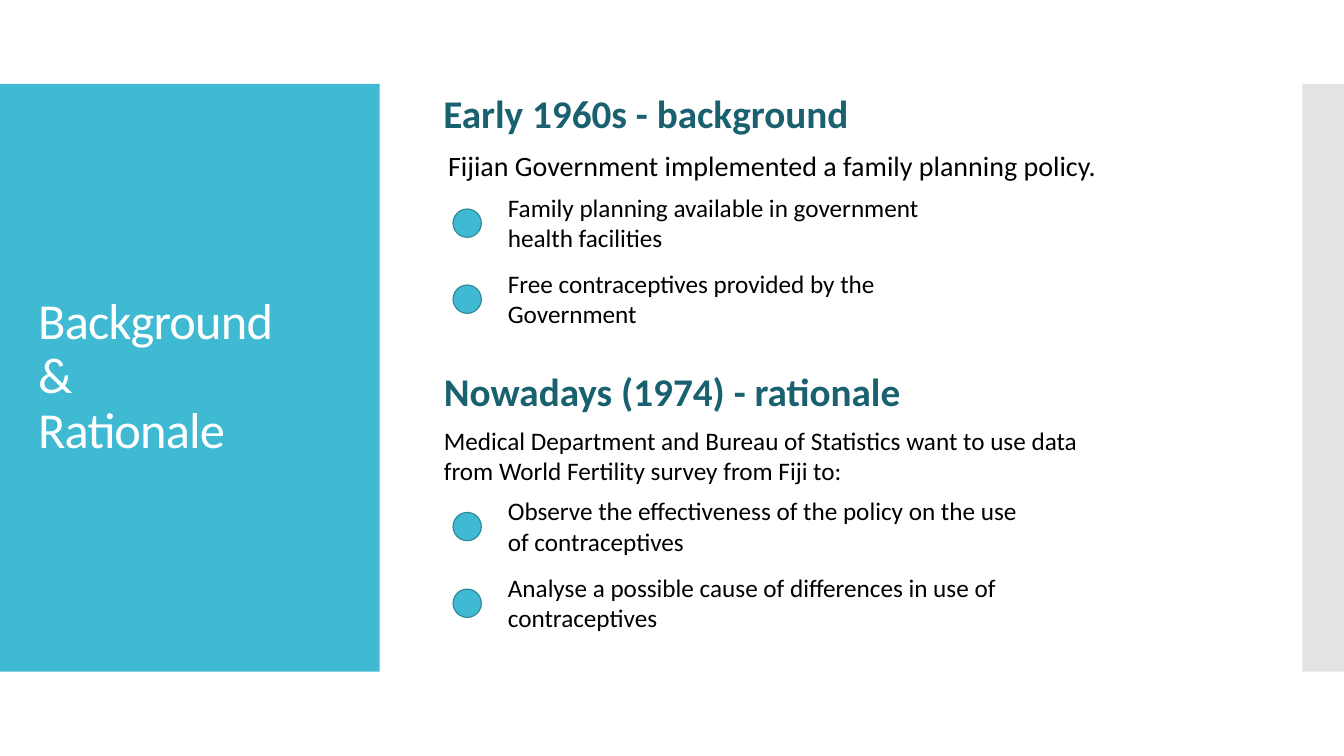
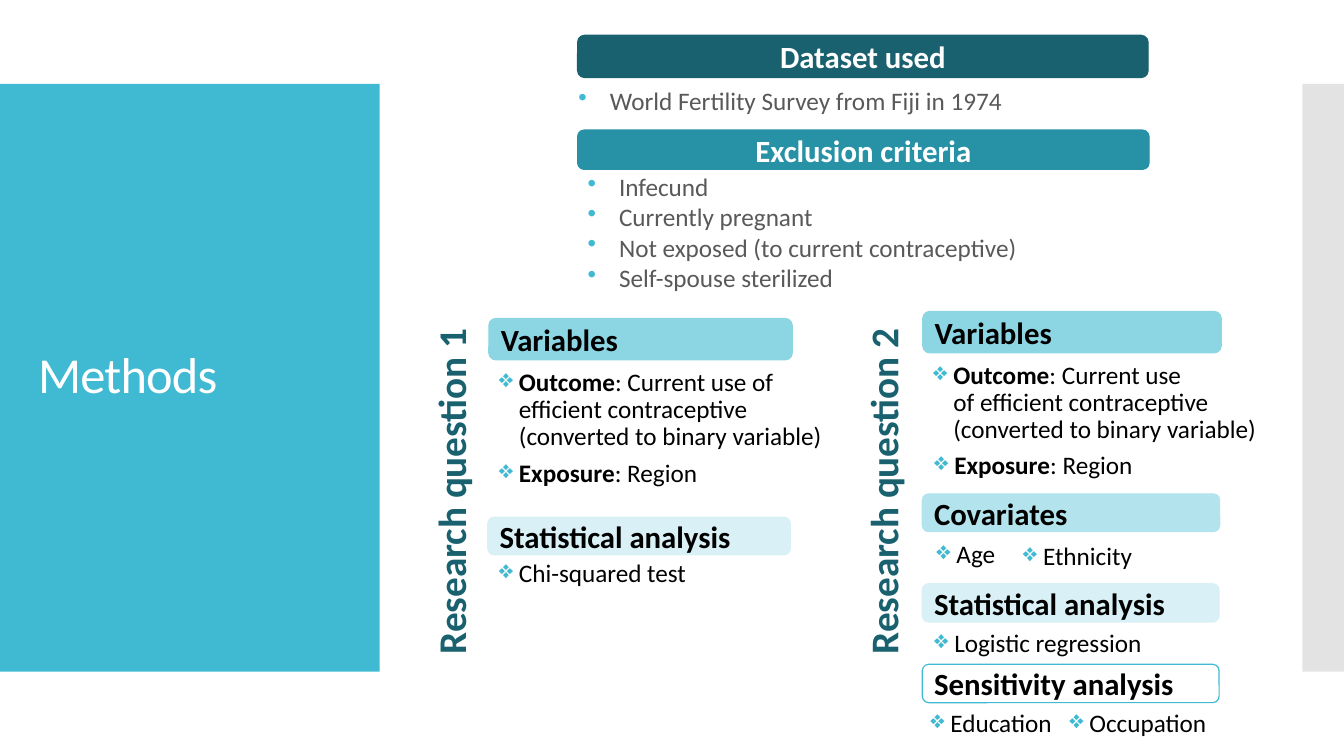
from dataclasses import dataclass

from lxml import etree
from pptx import Presentation
from pptx.dml.color import RGBColor
from pptx.enum.shapes import MSO_SHAPE
from pptx.enum.text import MSO_ANCHOR, MSO_AUTO_SIZE, PP_ALIGN
from pptx.oxml.ns import qn
from pptx.util import Pt

RECT, ROUND, OVAL = MSO_SHAPE.RECTANGLE, MSO_SHAPE.ROUNDED_RECTANGLE, MSO_SHAPE.OVAL
LEFT, CENTER = PP_ALIGN.LEFT, PP_ALIGN.CENTER
TOP, MIDDLE = MSO_ANCHOR.TOP, MSO_ANCHOR.MIDDLE
GROW = MSO_AUTO_SIZE.SHAPE_TO_FIT_TEXT

FONT = "Calibri"
WHITE = RGBColor(0xFF, 0xFF, 0xFF)
BLACK = RGBColor(0x00, 0x00, 0x00)
GREY = RGBColor(0x59, 0x59, 0x59)
EDGE_GREY = RGBColor(0xC8, 0xC8, 0xC8)
AQUA = RGBColor(0x40, 0xBA, 0xD2)
AQUA_EDGE = RGBColor(0x2F, 0x8A, 0x9B)
DEEP_TEAL = RGBColor(0x1A, 0x61, 0x6F)
TEAL = RGBColor(0x27, 0x91, 0xA6)
AQUA_MID = RGBColor(0x8C, 0xD6, 0xE4)
AQUA_LIGHT = RGBColor(0xB3, 0xE3, 0xED)
AQUA_PALE = RGBColor(0xD9, 0xF1, 0xF6)


@dataclass(frozen=True)
class Box:
    x: float
    y: float
    w: float
    h: float

    def emu(self) -> tuple:
        return Pt(self.x), Pt(self.y), Pt(self.w), Pt(self.h)


@dataclass(frozen=True)
class Label:
    text: str
    box: Box
    size: float = 18
    color: RGBColor = BLACK
    bold: bool = False
    align: PP_ALIGN = LEFT
    rotation: int = 0


@dataclass(frozen=True)
class Bar:
    text: str
    box: Box
    fill: RGBColor
    line: RGBColor
    color: RGBColor = BLACK
    align: PP_ALIGN = LEFT


@dataclass(frozen=True)
class BulletStyle:
    char: str
    indent: float
    color: RGBColor
    line_spacing: float
    before: float


DIAMOND = BulletStyle("\u2756", 14.4, BLACK, 0.9, 12)
DOT = BulletStyle("\u2022", 22.5, GREY, 1.0, 0)


@dataclass(frozen=True)
class Bullets:
    text: str
    box: Box
    lead: str = ""
    style: BulletStyle = DIAMOND


# Basic drawing
def format_runs(p, size: float, color: RGBColor, bold: bool = False) -> None:
    for r in p.runs:
        r.font.name = FONT
        r.font.size = Pt(size)
        r.font.bold = bold
        r.font.color.rgb = color


def add_shape(s, kind, box: Box, fill: RGBColor, line: RGBColor | None = None):
    sp = s.shapes.add_shape(kind, *box.emu())
    sp.shadow.inherit = False
    sp.fill.solid()
    sp.fill.fore_color.rgb = fill
    if line is None:
        sp.line.fill.background()
    else:
        sp.line.color.rgb = line
        sp.line.width = Pt(0.85)
    return sp


def add_text_box(s, box: Box, anchor: MSO_ANCHOR):
    sp = s.shapes.add_textbox(*box.emu())
    tf = sp.text_frame
    tf.word_wrap = True
    tf.vertical_anchor = anchor
    return sp


def add_label(s, label: Label) -> None:
    sp = add_text_box(s, label.box, TOP)
    sp.rotation = label.rotation
    tf = sp.text_frame
    tf.auto_size = GROW
    tf.text = label.text
    p = tf.paragraphs[0]
    p.alignment = label.align
    format_runs(p, label.size, label.color, label.bold)


def add_bar(s, bar: Bar) -> None:
    sp = add_shape(s, ROUND, bar.box, bar.fill, bar.line)
    tf = sp.text_frame
    tf.vertical_anchor = MIDDLE
    tf.text = bar.text
    p = tf.paragraphs[0]
    p.alignment = bar.align
    format_runs(p, 22, bar.color, True)


def set_bullet(p, style: BulletStyle) -> None:
    p.line_spacing = style.line_spacing
    p.space_before = Pt(style.before)
    pPr = p._p.get_or_add_pPr()
    pPr.set("marL", str(Pt(style.indent)))
    pPr.set("indent", str(-Pt(style.indent)))
    clr = etree.SubElement(pPr, qn("a:buClr"))
    etree.SubElement(clr, qn("a:srgbClr")).set("val", str(AQUA))
    etree.SubElement(pPr, qn("a:buChar")).set("char", style.char)


def add_bullets(s, bullets: Bullets) -> None:
    tf = add_text_box(s, bullets.box, MIDDLE).text_frame
    tf.text = bullets.lead + bullets.text if not bullets.lead else bullets.lead
    if bullets.lead:
        tf.paragraphs[0].add_run().text = bullets.text
    for p in tf.paragraphs:
        set_bullet(p, bullets.style)
        format_runs(p, 18, bullets.style.color)
        if bullets.lead:
            p.runs[0].font.bold = True


# Shared frame: side panel, right edge and title
def add_frame(prs, title: str):
    s = prs.slides.add_slide(prs.slide_layouts[6])
    add_shape(s, RECT, Box(0, 60, 271.2, 419.8), AQUA)
    edge = add_shape(s, RECT, Box(930.3, 60, 29.7, 419.8), EDGE_GREY)
    clr = edge._element.spPr.find(f"{qn('a:solidFill')}/{qn('a:srgbClr')}")
    etree.SubElement(clr, qn("a:alpha")).set("val", "50000")
    tf = add_text_box(s, Box(20.2, 88.6, 231.8, 362.2), MIDDLE).text_frame
    tf.text = title
    p = tf.paragraphs[0]
    p.line_spacing = 0.9
    format_runs(p, 36, WHITE)
    for r in p.runs:
        r._r.get_or_add_rPr().set("spc", "-60")
    return s


# Slide 1: background and rationale
def build_background(prs) -> None:
    s = add_frame(prs, "Background\u00a0\v&\vRationale\u00a0")
    labels = [
        Label("Early 1960s - background", Box(309.6, 60.5, 379.4, 41),
              28, DEEP_TEAL, True),
        Label("Fijian Government implemented a family planning policy.",
              Box(304.6, 102.2, 494, 31.7), 20, align=CENTER),
        Label("Nowadays (1974) - rationale", Box(310, 258.5, 395.3, 41),
              28, DEEP_TEAL, True),
        Label("Medical Department and Bureau of Statistics want to use data "
              "from\u00a0World\u00a0Fertility survey from Fiji to:",
              Box(310, 300.2, 586, 51.1)),
    ]
    for label in labels:
        add_label(s, label)

    # Points, each with a round marker
    points = [
        ("Family planning available in government health facilities", 133.9, 343.4),
        ("Free contraceptives provided by the Government", 188.2, 343.4),
        ("Observe the effectiveness of the policy on the use of contraceptives",
         350.6, 379.4),
        ("Analyse a possible cause of differences in use of contraceptives\u00a0",
         405.4, 367.9),
    ]
    for text, y, w in points:
        add_label(s, Label(text, Box(355.7, y, w, 51.1)))
        add_shape(s, OVAL, Box(323.6, y + 15.4, 20.2, 20.2), AQUA, AQUA_EDGE)


# Slide 2: methods
def build_methods(prs) -> None:
    s = add_frame(prs, "Methods")
    x1, x2 = 349.2, 659.2
    bars = [
        Bar("Dataset used", Box(412.6, 25.2, 407.5, 30.2),
            DEEP_TEAL, DEEP_TEAL, WHITE, CENTER),
        Bar("Exclusion criteria", Box(412.6, 92.9, 408.2, 28.1),
            TEAL, TEAL, WHITE, CENTER),
        Bar("Variables", Box(x1, 227.5, 216.7, 29.5), AQUA_MID, AQUA_MID),
        Bar("Statistical analysis", Box(x1 - 0.7, 369.4, 216, 26.9),
            AQUA_PALE, AQUA_PALE),
        Bar("Variables", Box(x2, 222.5, 213.1, 29.5), AQUA_MID, AQUA_MID),
        Bar("Covariates", Box(x2 - 0.4, 352.8, 212.4, 26.9),
            AQUA_LIGHT, AQUA_LIGHT),
        Bar("Statistical analysis", Box(x2 - 0.4, 416.9, 212, 27.4),
            AQUA_PALE, AQUA_PALE),
        Bar("Sensitivity analysis", Box(x2 - 0.4, 474.5, 212, 27.4), WHITE, AQUA),
    ]
    for bar in bars:
        add_bar(s, bar)

    # Upright column headings
    for number, x in enumerate((182.2, 491), start=1):
        add_label(s, Label(f"Research question {number}", Box(x, 314.3, 279.4, 41),
                           28, DEEP_TEAL, True, rotation=270))

    bullets = [
        # Dataset and exclusions
        Bullets("World Fertility Survey from Fiji in 1974",
                Box(406.1, 61.2, 337, 21.6), style=DOT),
        Bullets("Infecund\nCurrently\u00a0pregnant\n"
                "Not exposed (to current contraceptive)\nSelf-spouse sterilized",
                Box(412.6, 117.4, 408.2, 96.5), style=DOT),
        # Research question 1
        Bullets(": Current use of efficient\u00a0contraceptive "
                "(converted to binary variable)",
                Box(x1, 261.4, 259.2, 63.4), "Outcome"),
        Bullets(": Region", Box(x1, 324.7, 223.2, 28.1), "Exposure"),
        Bullets("Chi-squared test", Box(x1, 399.6, 216, 20.9)),
        # Research question 2
        Bullets(": Current use of\u00a0efficient contraceptive "
                "(converted to binary variable)",
                Box(x2 + 0.3, 257, 251.3, 61.9), "Outcome"),
        Bullets(": Region", Box(x2 + 1, 319, 223.2, 28.1), "Exposure"),
        Bullets("Age", Box(661.7, 384.5, 68.4, 24.5)),
        Bullets("Ethnicity", Box(723.6, 385.2, 112.3, 25.9)),
        Bullets("Logistic regression", Box(x2 + 1, 444.2, 213.1, 31.7)),
        Bullets("Education", Box(657.4, 501.8, 106.6, 31)),
        Bullets("Occupation", Box(756.7, 504.7, 127.4, 25.2)),
    ]
    for item in bullets:
        add_bullets(s, item)


prs = Presentation()
prs.slide_width, prs.slide_height = Pt(960), Pt(540)
build_background(prs)
build_methods(prs)
prs.save("out.pptx")
